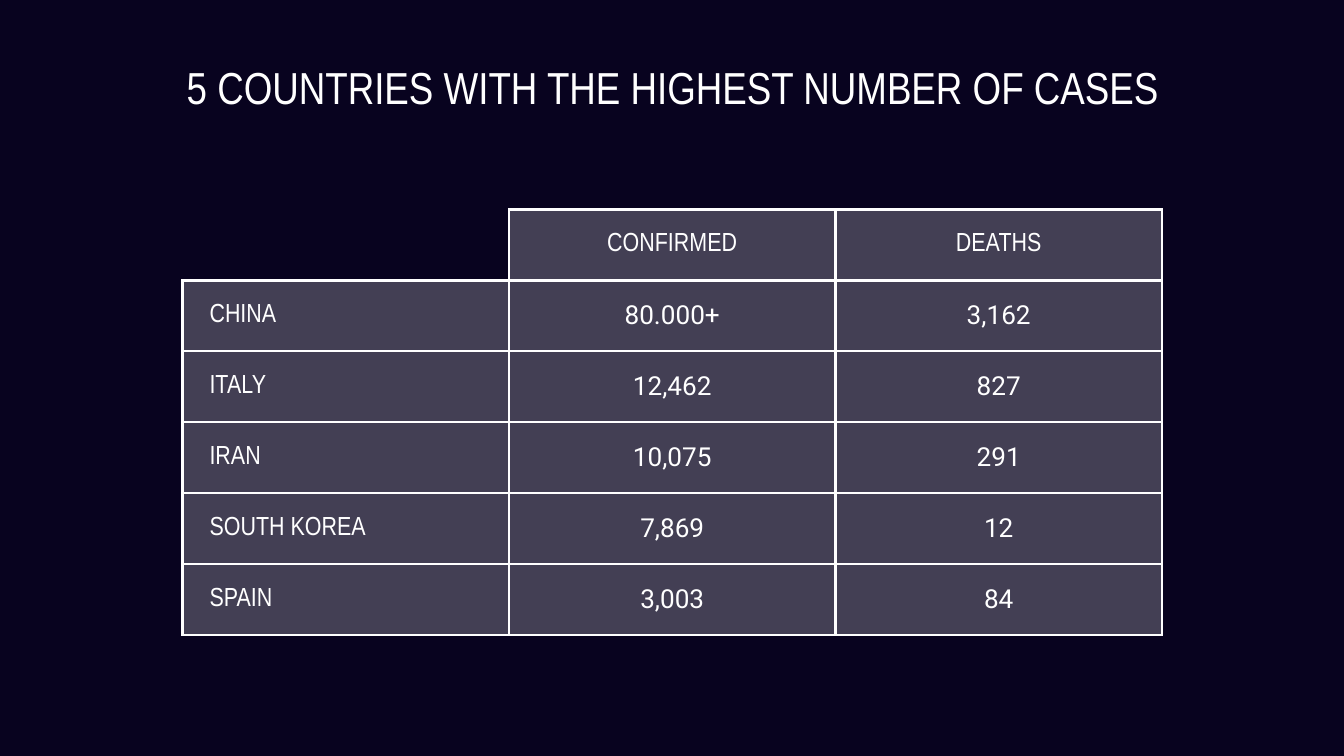
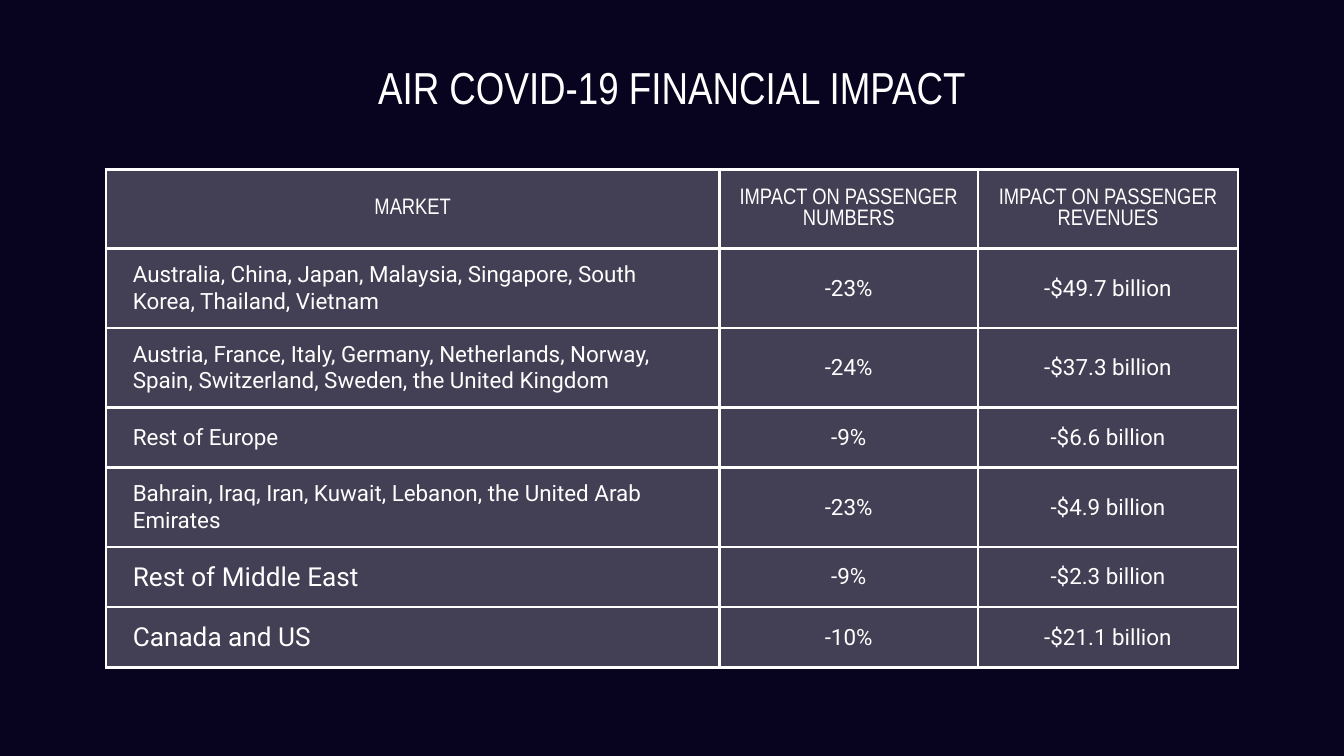
from dataclasses import dataclass

from lxml import etree
from pptx import Presentation
from pptx.dml.color import RGBColor
from pptx.enum.text import MSO_ANCHOR, MSO_AUTO_SIZE, PP_ALIGN
from pptx.oxml.ns import qn
from pptx.util import Cm, Pt

LEFT, CENTER = PP_ALIGN.LEFT, PP_ALIGN.CENTER
MIDDLE, BOTTOM = MSO_ANCHOR.MIDDLE, MSO_ANCHOR.BOTTOM
NO_FIT = MSO_AUTO_SIZE.NONE
TITLE_ONLY = 5
SIDES = ("L", "R", "T", "B")


@dataclass(frozen=True)
class Theme:
    background: str = "08031F"
    ink: str = "FFFFFF"
    cell_opacity: int = 24
    heading_font: str = "Arial Narrow"
    body_font: str = "Roboto"
    title_size: float = 24
    large_size: float = 14
    small_size: float = 12
    border: float = 1.5
    inset: float = 0.25
    label_inset: float = 0.51


THEME = Theme()


@dataclass(frozen=True)
class TableSlide:
    title: str
    title_left: float
    title_width: float
    left: float
    top: float
    cols: tuple[float, ...]
    heights: tuple[float, ...]
    rows: tuple[tuple[str, ...], ...]
    size: float
    label_font: str
    large_labels: tuple[str, ...] = ()


SLIDES = (
    TableSlide(
        title="5 COUNTRIES WITH THE HIGHEST NUMBER OF CASES",
        title_left=2.62, title_width=20.19,
        left=3.45, top=3.96,
        cols=(6.17,) * 3,
        heights=(1.34,) * 6,
        rows=(
            ("", "CONFIRMED", "DEATHS"),
            ("CHINA", "80.000+", "3,162"),
            ("ITALY", "12,462", "827"),
            ("IRAN", "10,075", "291"),
            ("SOUTH KOREA", "7,869", "12"),
            ("SPAIN", "3,003", "84"),
        ),
        size=THEME.large_size,
        label_font=THEME.heading_font,
    ),
    TableSlide(
        title="AIR COVID-19 FINANCIAL IMPACT",
        title_left=2, title_width=21.4,
        left=2, top=3.2,
        cols=(11.6, 4.88, 4.92),
        heights=(1.5, 1.5, 1.5, 1.14, 1.5, 1.14, 1.14),
        rows=(
            ("MARKET", "IMPACT ON PASSENGER NUMBERS", "IMPACT ON PASSENGER REVENUES"),
            ("Australia, China, Japan, Malaysia, Singapore, South Korea, Thailand, Vietnam",
             "-23%", "-$49.7 billion"),
            ("Austria, France, Italy, Germany, Netherlands, Norway, Spain, Switzerland, "
             "Sweden, the United Kingdom", "-24%", "-$37.3 billion"),
            ("Rest of Europe", "-9%", "-$6.6 billion"),
            ("Bahrain, Iraq, Iran, Kuwait, Lebanon, the United Arab Emirates",
             "-23%", "-$4.9 billion"),
            ("Rest of Middle East", "-9%", "-$2.3 billion"),
            ("Canada and US", "-10%", "-$21.1 billion"),
        ),
        size=THEME.small_size,
        label_font=THEME.body_font,
        large_labels=("Rest of Middle East", "Canada and US"),
    ),
)


def write(tf, text: str, *, font: str, size: float, align=CENTER) -> None:
    p = tf.paragraphs[0]
    p.alignment = align
    r = p.add_run()
    r.text = text
    r.font.name = font
    r.font.size = Pt(size)
    r.font.bold = False
    r.font.color.rgb = RGBColor.from_string(THEME.ink)


def set_borders(cell, hidden: tuple[str, ...] = ()) -> None:
    tcPr = cell._tc.get_or_add_tcPr()
    for side in SIDES:
        ln = etree.SubElement(tcPr, qn(f"a:ln{side}"), w=str(Pt(THEME.border)))
        if side in hidden:
            etree.SubElement(ln, qn("a:noFill"))
        else:
            fill = etree.SubElement(ln, qn("a:solidFill"))
            etree.SubElement(fill, qn("a:srgbClr"), val=THEME.ink)


def set_fill(cell) -> None:
    cell.fill.solid()
    cell.fill.fore_color.rgb = RGBColor.from_string(THEME.ink)
    color = cell._tc.tcPr.find(qn("a:solidFill")).find(qn("a:srgbClr"))
    etree.SubElement(color, qn("a:alpha"), val=str(THEME.cell_opacity * 1000))


def add_title(s, item: TableSlide) -> None:
    sp = s.shapes.title
    sp.left, sp.top = Cm(item.title_left), Cm(0.97)
    sp.width, sp.height = Cm(item.title_width), Cm(1.42)
    tf = sp.text_frame
    tf.word_wrap = True
    tf.auto_size = NO_FIT
    tf.vertical_anchor = BOTTOM
    tf.margin_left = tf.margin_right = Cm(THEME.inset)
    tf.margin_top = tf.margin_bottom = Cm(THEME.inset)
    write(tf, item.title, font=THEME.heading_font, size=THEME.title_size)


def fill_cell(cell, text: str, item: TableSlide, is_header: bool, is_label: bool) -> None:
    if not text:
        set_borders(cell, hidden=("L", "T"))
        cell.fill.background()
        return
    set_borders(cell)
    set_fill(cell)
    cell.vertical_anchor = MIDDLE
    cell.margin_left = cell.margin_right = Cm(THEME.label_inset if is_label else THEME.inset)
    cell.margin_top = cell.margin_bottom = Cm(THEME.inset)
    if is_header:
        font = THEME.heading_font
    else:
        font = item.label_font if is_label else THEME.body_font
    write(cell.text_frame, text, font=font,
          size=THEME.large_size if text in item.large_labels else item.size,
          align=LEFT if is_label else CENTER)


def add_data_table(s, item: TableSlide) -> None:
    table = s.shapes.add_table(
        len(item.rows), len(item.cols), Cm(item.left), Cm(item.top),
        Cm(sum(item.cols)), Cm(sum(item.heights))).table
    table.first_row = table.horz_banding = False
    for col, width in zip(table.columns, item.cols):
        col.width = Cm(width)
    for row, height in zip(table.rows, item.heights):
        row.height = Cm(height)
    for i, texts in enumerate(item.rows):
        for j, text in enumerate(texts):
            fill_cell(table.cell(i, j), text, item,
                      is_header=i == 0, is_label=i > 0 and j == 0)


def main() -> None:
    prs = Presentation()
    prs.slide_width, prs.slide_height = Cm(25.4), Cm(14.29)
    bg = prs.slide_master.background.fill
    bg.solid()
    bg.fore_color.rgb = RGBColor.from_string(THEME.background)
    for item in SLIDES:
        s = prs.slides.add_slide(prs.slide_layouts[TITLE_ONLY])
        add_title(s, item)
        add_data_table(s, item)
    prs.save("out.pptx")


if __name__ == "__main__":
    main()
